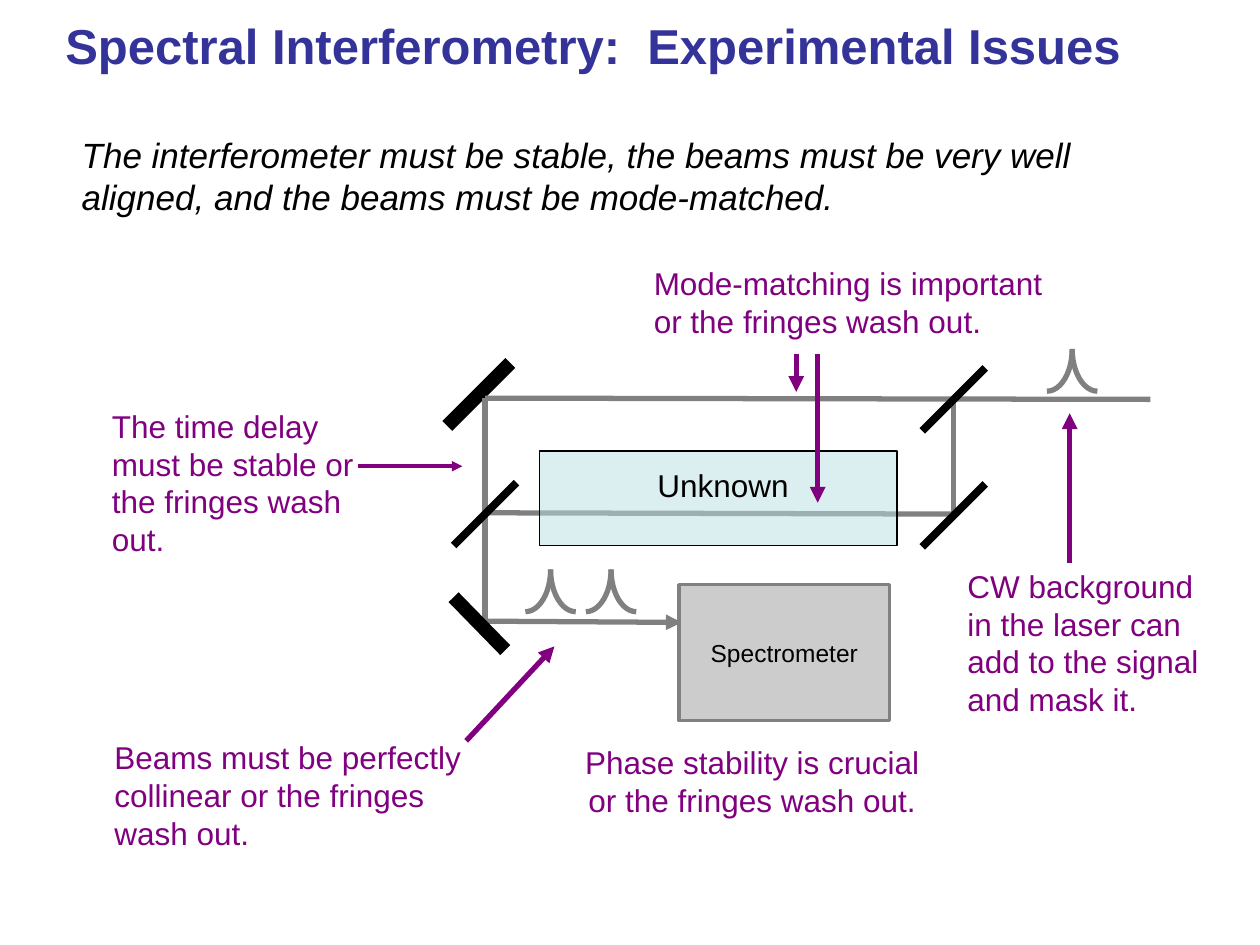
from lxml import etree
from pptx import Presentation
from pptx.dml.color import RGBColor
from pptx.enum.shapes import MSO_CONNECTOR, MSO_SHAPE
from pptx.enum.text import MSO_ANCHOR, PP_ALIGN
from pptx.oxml.ns import qn
from pptx.util import Inches, Pt

STRAIGHT = MSO_CONNECTOR.STRAIGHT
RECTANGLE, ARC = MSO_SHAPE.RECTANGLE, MSO_SHAPE.ARC
LEFT, CENTER = PP_ALIGN.LEFT, PP_ALIGN.CENTER
TOP, MIDDLE = MSO_ANCHOR.TOP, MSO_ANCHOR.MIDDLE

FONT = "Arial"
BLACK, GRAY, SILVER = "000000", "808080", "CCCCCC"
PURPLE, NAVY, AQUA = "800080", "333399", "BBE0E3"
BEAM, MIRROR, SPLITTER = 3, 8, 4.5


def color(hex_string):
    """Turn a hex string into a color."""
    return RGBColor.from_string(hex_string)


def write(shape, text, size, hex_string, align=LEFT, anchor=TOP, wrap=True, bold=False, italic=False):
    """Write one paragraph into a shape."""
    frame = shape.text_frame
    frame.word_wrap = wrap
    frame.vertical_anchor = anchor
    paragraph = frame.paragraphs[0]
    paragraph.alignment = align
    run = paragraph.add_run()
    run.text = text
    run.font.name = FONT
    run.font.size = Pt(size)
    run.font.bold = bold
    run.font.italic = italic
    run.font.color.rgb = color(hex_string)


def add_text(slide, box, text, size, hex_string, **style):
    """Add a text box at left, top, width, height."""
    shape = slide.shapes.add_textbox(*map(Inches, box))
    write(shape, text, size, hex_string, **style)


def add_line(slide, start, end, hex_string, width, arrow=False):
    """Add a straight line, with an arrowhead at its end if asked."""
    line = slide.shapes.add_connector(STRAIGHT, *map(Inches, (*start, *end)))
    line.line.color.rgb = color(hex_string)
    line.line.width = Pt(width)
    if arrow:
        etree.SubElement(line.line._get_or_add_ln(), qn("a:tailEnd"), type="triangle")
    etree.SubElement(line._element.spPr, qn("a:effectLst"))


def add_box(slide, box, fill, line, width, opacity=100):
    """Add a filled rectangle with an outline."""
    shape = slide.shapes.add_shape(RECTANGLE, *map(Inches, box))
    shape.shadow.inherit = False
    shape.fill.solid()
    shape.fill.fore_color.rgb = color(fill)
    shape.line.color.rgb = color(line)
    shape.line.width = Pt(width)
    if opacity < 100:
        fill_color = shape._element.spPr.find(qn("a:solidFill"))[0]
        etree.SubElement(fill_color, qn("a:alpha"), val=str(opacity * 1000))
    return shape


def add_pulse(slide, peak_x, peak_y):
    """Draw a pulse as two quarter arcs that meet at its peak."""
    width, height = 0.4, 0.67
    for left, angles in ((peak_x, (54, 108)), (peak_x - width, (0, 54))):
        arc = slide.shapes.add_shape(
            ARC, *map(Inches, (left, peak_y - height / 2, width, height)))
        arc.adjustments[0], arc.adjustments[1] = angles
        arc.shadow.inherit = False
        arc.fill.background()
        arc.line.color.rgb = color(GRAY)
        arc.line.width = Pt(BEAM)


def add_interferometer(slide, left, top):
    """Draw the optics, with the upper left beam corner at left, top."""
    def at(x, y):
        return left + x, top + y

    add_line(slide, at(0, 1.77), at(1.56, 1.78), GRAY, BEAM, arrow=True)
    for peak in ((1, 1.36), (0.52, 1.36), (4.66, -0.39)):
        add_pulse(slide, *at(*peak))
    optics = (
        ((0.2, -0.28), (-0.3, 0.22), BLACK, MIRROR),
        ((0, 1.83), (0, 0), GRAY, BEAM),
        ((-0.25, 1.58), (0.16, 2), BLACK, MIRROR),
        ((0, 0), (5.28, 0.01), GRAY, BEAM),
        ((3.72, 0.01), (3.72, 0.93), GRAY, BEAM),
        ((3.73, 0.92), (-0.01, 0.91), GRAY, BEAM),
    )
    for start, end, hex_string, width in optics:
        add_line(slide, at(*start), at(*end), hex_string, width)
    for x, y in ((3.72, 0.01), (3.72, 0.93), (0, 0.92)):
        add_line(slide, at(x + 0.25, y - 0.25), at(x - 0.25, y + 0.25), BLACK, SPLITTER)

    add_box(slide, (*at(0.43, 0.42), 2.84, 0.75), AQUA, BLACK, 0.75, opacity=50)
    add_text(slide, (*at(1.27, 0.49), 1.24, 0.4), "Unknown", 18, BLACK, wrap=False)
    spectrometer = add_box(slide, (*at(1.54, 1.48), 1.67, 1.08), SILVER, GRAY, 2)
    write(spectrometer, "Spectrometer", 14, BLACK, align=CENTER, anchor=MIDDLE, wrap=False)


def add_note(slide, box, text, arrows=(), width=3, align=LEFT):
    """Add a purple note and its arrows, given relative to the note."""
    left, top = box[:2]
    add_text(slide, box, text, 18, PURPLE, align=align)
    for x1, y1, x2, y2 in arrows:
        add_line(slide, (left + x1, top + y1), (left + x2, top + y2), PURPLE, width, arrow=True)


def add_heading(slide, left, top):
    """Add the title and the opening statement."""
    add_text(slide, (left, top, 9.21, 0.71), "Spectral Interferometry:  Experimental Issues",
             28, NAVY, anchor=MIDDLE, bold=True)
    add_text(slide, (left + 0.13, top + 1.01, 8.76, 0.77),
             "The interferometer must be stable, the beams must be very well aligned, "
             "and the beams must be mode-matched.", 20, BLACK, italic=True)


def main():
    """Build and save the slide."""
    presentation = Presentation()
    presentation.slide_width, presentation.slide_height = Inches(10), Inches(7.5)
    slide = presentation.slides.add_slide(presentation.slide_layouts[6])
    add_heading(slide, 0.42, 0)
    add_interferometer(slide, 3.85, 3.16)
    add_note(slide, (7.58, 4.45, 2.23, 1.3),
             "CW background in the laser can add to the signal and mask it.",
             [(0.91, 0.02, 0.91, -1.17)])
    add_note(slide, (0.79, 3.18, 2.18, 1.3),
             "The time delay must be stable or the fringes wash out.",
             [(2.05, 0.52, 2.88, 0.52)], width=2)
    add_note(slide, (5.09, 2.05, 3.32, 0.7),
             "Mode-matching is important or the fringes wash out.",
             [(1.23, 0.76, 1.23, 1.06), (1.4, 0.76, 1.4, 1.94)])
    add_note(slide, (0.81, 5.81, 3.11, 1),
             "Beams must be perfectly collinear or the fringes wash out.",
             [(2.89, 0.07, 3.59, -0.68)])
    add_note(slide, (4.46, 5.85, 3.02, 0.7),
             "Phase stability is crucial or the fringes wash out.", align=CENTER)
    presentation.save("out.pptx")


if __name__ == "__main__":
    main()
